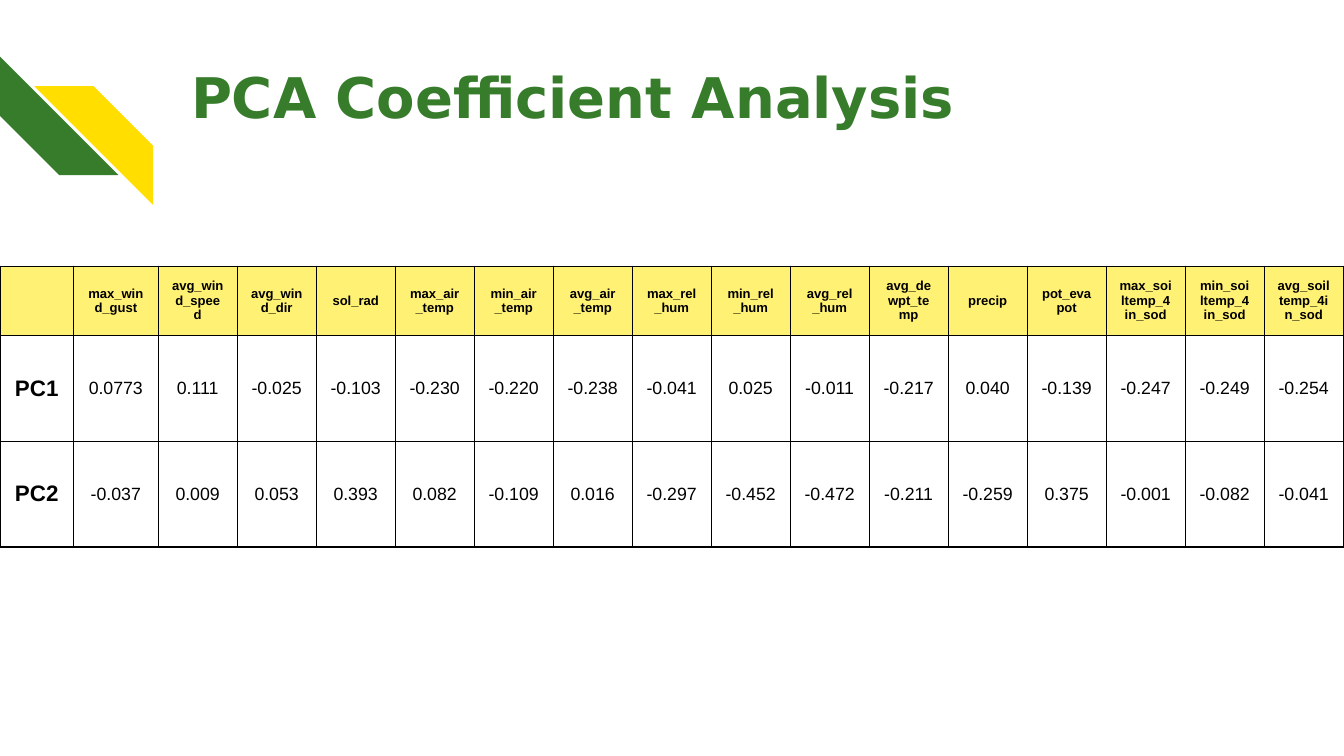
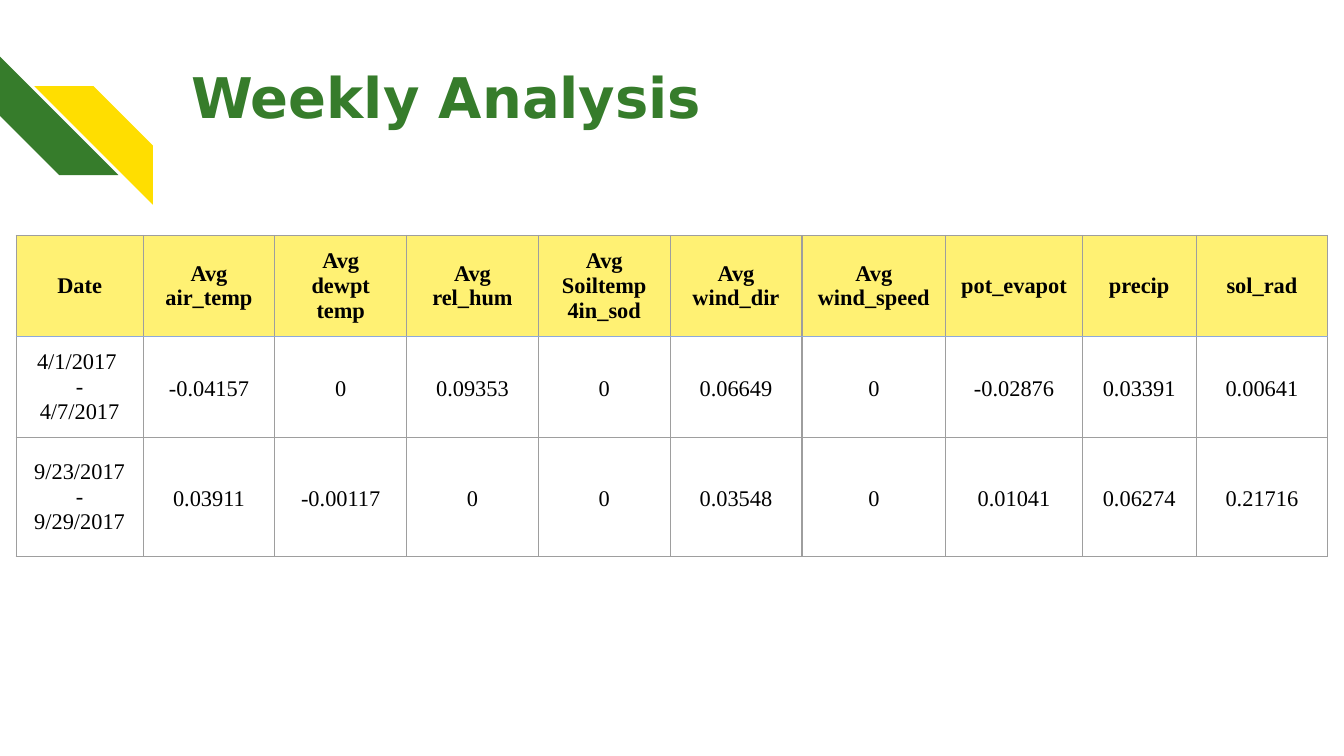
from dataclasses import dataclass

import pptx
import pptx.dml.color
import pptx.enum.shapes
import pptx.enum.text
import pptx.oxml.ns
import pptx.util
from lxml import etree

Cm = pptx.util.Cm
Pt = pptx.util.Pt
RGB = pptx.dml.color.RGBColor.from_string
SLIDE_W, SLIDE_H = 25.4, 14.29


@dataclass(frozen=True)
class Theme:
    green: str = "367C2B"
    yellow: str = "FFDE00"
    header_fill: str = "FFF173"
    white: str = "FFFFFF"
    black: str = "000000"
    grey: str = "9E9E9E"
    blue: str = "8EA9DB"
    title_font: str = "DejaVu Sans"
    title_size: float = 30


@dataclass(frozen=True)
class TableStyle:
    """Type sizes, margins and rules of one table; borders are (colour, points)."""
    font: str
    header_size: float
    label_size: float
    value_size: float
    margin_y: float
    border: tuple
    header_rule: tuple
    label_bold: bool = False
    value_fill: str = None
    value_spacing: float = None


THEME = Theme()
PCA_STYLE = TableStyle("Arial", 7, 12, 9.5, 0, (THEME.black, 0.75), (THEME.black, 0.75),
                       label_bold=True, value_fill=THEME.white)
WEEKLY_STYLE = TableStyle("Times New Roman", 12, 12, 12, 0.25, (THEME.grey, 0.75),
                          (THEME.blue, 0.5), value_spacing=1.15)

PCA_ROWS = [
    ["", "max_wind_gust", "avg_wind_speed", "avg_wind_dir", "sol_rad", "max_air_temp",
     "min_air_temp", "avg_air_temp", "max_rel_hum", "min_rel_hum", "avg_rel_hum",
     "avg_dewpt_temp", "precip", "pot_evapot", "max_soiltemp_4in_sod",
     "min_soiltemp_4in_sod", "avg_soiltemp_4in_sod"],
    ["PC1", "0.0773", "0.111", "-0.025", "-0.103", "-0.230", "-0.220", "-0.238", "-0.041",
     "0.025", "-0.011", "-0.217", "0.040", "-0.139", "-0.247", "-0.249", "-0.254"],
    ["PC2", "-0.037", "0.009", "0.053", "0.393", "0.082", "-0.109", "0.016", "-0.297",
     "-0.452", "-0.472", "-0.211", "-0.259", "0.375", "-0.001", "-0.082", "-0.041"],
]
WEEKLY_ROWS = [
    ["Date", "Avg\nair_temp", "Avg\ndewpt\ntemp", "Avg\nrel_hum", "Avg\nSoiltemp\n4in_sod",
     "Avg\nwind_dir", "Avg\nwind_speed", "pot_evapot", "precip", "sol_rad"],
    ["4/1/2017 \n-\n4/7/2017", "-0.04157", "0", "0.09353", "0", "0.06649", "0",
     "-0.02876", "0.03391", "0.00641"],
    ["9/23/2017 -\n9/29/2017", "0.03911", "-0.00117", "0", "0", "0.03548", "0",
     "0.01041", "0.06274", "0.21716"],
]


def add_stripe(s, left, top, size, color):
    sp = s.shapes.add_shape(pptx.enum.shapes.MSO_SHAPE.DIAGONAL_STRIPE,
                            Cm(left), Cm(top), Cm(size), Cm(size))
    sp.shadow.inherit = False
    sp.fill.solid()
    sp.fill.fore_color.rgb = RGB(color)
    sp.line.fill.background()
    return sp


def decorate_layout(layout, s, left, top, size):
    """Draw the two stripes on s, then move them to the layout all slides share."""
    for ph in list(layout.placeholders):
        if ph.placeholder_format.idx != 0:
            ph.element.getparent().remove(ph.element)
    green = add_stripe(s, left, top, size, THEME.green)
    green.rotation = 270
    yellow = add_stripe(s, left + size * 0.29, top + size * 0.25, size, THEME.yellow)
    yellow.element.spPr.get_or_add_xfrm().set("flipH", "1")
    for stripe in (green, yellow):
        layout.shapes.element.append(stripe.element)


def set_title(s, text, left, top, width, height):
    title = s.shapes.title
    title.left, title.top, title.width, title.height = map(Cm, (left, top, width, height))
    tf = title.text_frame
    tf.text = text
    tf.word_wrap = True
    tf.auto_size = pptx.enum.text.MSO_AUTO_SIZE.NONE
    tf.vertical_anchor = pptx.enum.text.MSO_ANCHOR.TOP
    tf.margin_left = tf.margin_right = tf.margin_top = tf.margin_bottom = 0
    p = tf.paragraphs[0]
    p.alignment = pptx.enum.text.PP_ALIGN.LEFT
    p.line_spacing = 1.08
    format_run(p.runs[0], THEME.title_font, THEME.title_size, THEME.green, True)


def format_run(r, font, size, color, bold):
    r.font.name = font
    r.font.size = Pt(size)
    r.font.color.rgb = RGB(color)
    r.font.bold = bold


def set_borders(cell, **sides):
    """Set the borders of a cell; sides are L, R, T and B, in schema order."""
    qn = pptx.oxml.ns.qn
    tcPr = cell._tc.get_or_add_tcPr()
    for side, (color, points) in sides.items():
        ln = etree.SubElement(tcPr, qn(f"a:ln{side}"), w=str(Pt(points)))
        fill = etree.SubElement(ln, qn("a:solidFill"))
        etree.SubElement(fill, qn("a:srgbClr"), val=color)


def format_cell(cell, text, row, col, style):
    if row == 0:
        size, bold, fill = style.header_size, True, THEME.header_fill
    elif col == 0:
        size, bold, fill = style.label_size, style.label_bold, None
    else:
        size, bold, fill = style.value_size, False, style.value_fill
    edge = style.border
    set_borders(cell, L=edge, R=edge, T=style.header_rule if row == 1 else edge,
                B=style.header_rule if row == 0 else edge)
    if fill:
        cell.fill.solid()
        cell.fill.fore_color.rgb = RGB(fill)
    else:
        cell.fill.background()
    cell.vertical_anchor = pptx.enum.text.MSO_ANCHOR.MIDDLE
    cell.margin_left = cell.margin_right = Cm(0.25)
    cell.margin_top = cell.margin_bottom = Cm(style.margin_y)
    cell.text_frame.text = text
    for p in cell.text_frame.paragraphs:
        p.alignment = pptx.enum.text.PP_ALIGN.CENTER
        if row and col and style.value_spacing:
            p.line_spacing = style.value_spacing
        for r in p.runs:
            format_run(r, style.font, size, THEME.black, bold)


def add_data_table(s, rows, left, top, widths, heights, style):
    table = s.shapes.add_table(len(rows), len(widths), Cm(left), Cm(top),
                               Cm(sum(widths)), Cm(sum(heights))).table
    table.first_row = table.horz_banding = False
    for column, width in zip(table.columns, widths):
        column.width = Cm(width)
    for line, height in zip(table.rows, heights):
        line.height = Cm(height)
    for i, texts in enumerate(rows):
        for j, text in enumerate(texts):
            format_cell(table.cell(i, j), text, i, j, style)


def build_pca_slide(s):
    set_title(s, "PCA Coefficient Analysis", 3.61, 1.09, 19.56, 2.54)
    first = [1.39, 1.6]
    others = len(PCA_ROWS[0]) - len(first)
    widths = first + [(SLIDE_W - sum(first)) / others] * others
    add_data_table(s, PCA_ROWS, 0, 5.03, widths, [1.31, 2, 2], PCA_STYLE)


def build_weekly_slide(s):
    set_title(s, "Weekly Analysis", 3.61, 1.09, 19.56, 1.55)
    widths = [2.4] + [2.49] * 5 + [2.72, 2.58, 2.15, 2.49]
    left = (SLIDE_W - sum(widths)) / 2
    add_data_table(s, WEEKLY_ROWS, left, 4.45, widths, [1.4, 1.85, 2.24], WEEKLY_STYLE)


def main():
    prs = pptx.Presentation()
    prs.slide_width, prs.slide_height = Cm(SLIDE_W), Cm(SLIDE_H)
    layout = prs.slide_layouts.get_by_name("Title Only")
    pca, weekly = [prs.slides.add_slide(layout) for _ in range(2)]
    decorate_layout(layout, pca, 0, 1.07, 2.24)
    build_pca_slide(pca)
    build_weekly_slide(weekly)
    prs.save("out.pptx")


if __name__ == "__main__":
    main()
